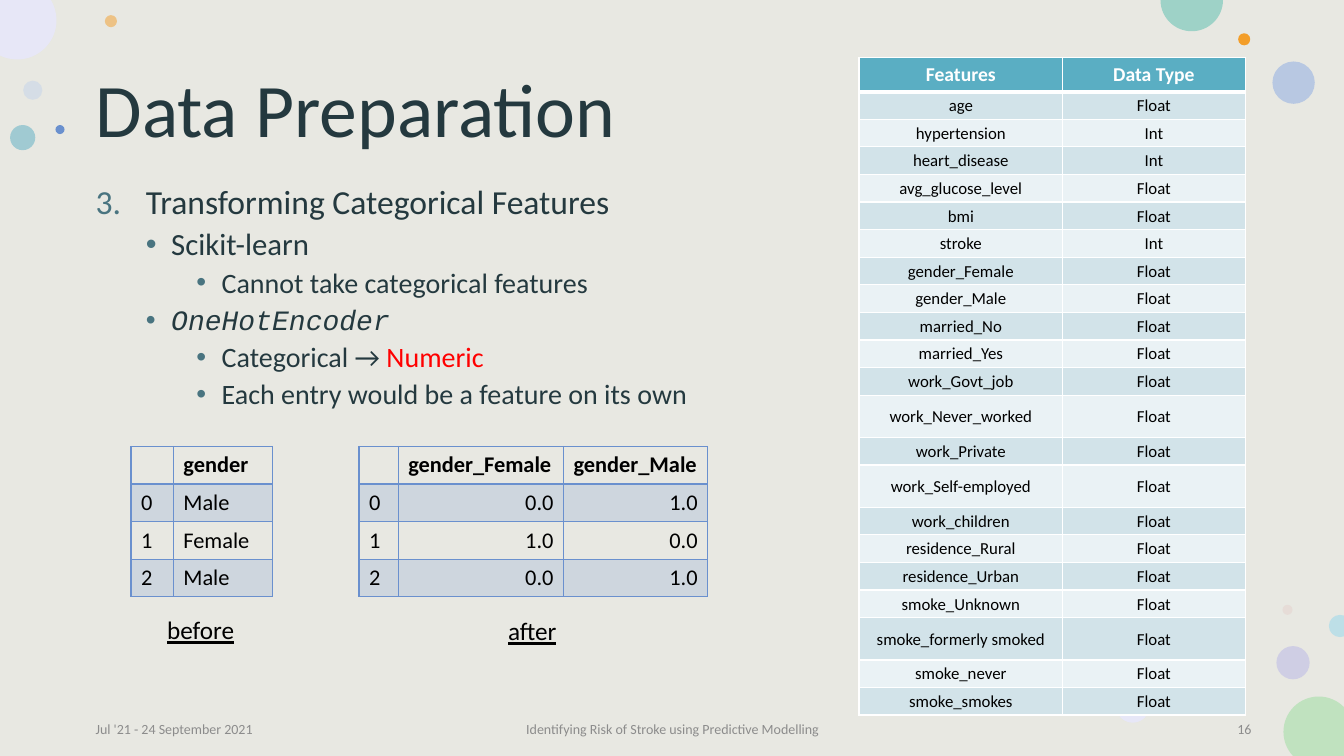
from dataclasses import dataclass
from math import cos, radians, sin, tan

from lxml import etree
from pptx import Presentation
from pptx.dml.color import RGBColor
from pptx.enum.shapes import MSO_SHAPE
from pptx.enum.text import MSO_ANCHOR, PP_ALIGN
from pptx.oxml.ns import qn
from pptx.util import Inches, Pt

OVAL, RECT = MSO_SHAPE.OVAL, MSO_SHAPE.RECTANGLE
MID, TOP = MSO_ANCHOR.MIDDLE, MSO_ANCHOR.TOP
LEFT, MIDDLE, RIGHT = PP_ALIGN.LEFT, PP_ALIGN.CENTER, PP_ALIGN.RIGHT

CREAM = RGBColor(0xE8, 0xE8, 0xE2)
INK = RGBColor(0x24, 0x39, 0x3F)
SLATE = RGBColor(0x49, 0x74, 0x80)
GREY = RGBColor(0x8C, 0x8C, 0x8C)
BLACK = RGBColor(0, 0, 0)
WHITE = RGBColor(0xFF, 0xFF, 0xFF)
RED = RGBColor(0xFF, 0, 0)
BLUE = RGBColor(0x6A, 0x90, 0xCE)
TEAL = RGBColor(0x5A, 0xAE, 0xC3)
MIST = RGBColor(0xD2, 0xE3, 0xE9)
PALE = RGBColor(0xEA, 0xF2, 0xF5)
SKY = RGBColor(0xC3, 0xD3, 0xEB)
AMBER = RGBColor(0xF3, 0x9E, 0x29)
LILAC = RGBColor(0xB8, 0xB6, 0xE7)
STEEL = RGBColor(0xA6, 0xBC, 0xE2)
ROSE = RGBColor(0xE3, 0xBE, 0xBE)
HAZE = RGBColor(0xE7, 0xE7, 0xF7)
LEAF = RGBColor(0xC0, 0xE2, 0xBF)
MINT = RGBColor(0x9E, 0xD2, 0xC7)
AQUA = RGBColor(0xBD, 0xDF, 0xE7)

WIDE, HIGH = 13.33, 7.5


@dataclass
class Dot:
    x: float
    y: float
    size: float
    color: RGBColor
    alpha: int = 100


@dataclass
class Arc:
    x: float
    y: float
    r: float
    turns: list
    corner: list
    color: RGBColor


@dataclass
class Item:
    level: int
    runs: list
    size: int
    font: str = "Calibri"


@dataclass
class Label:
    text: str
    x: float
    y: float
    w: float
    h: float
    size: int
    color: RGBColor
    align: PP_ALIGN = LEFT
    anchor: MSO_ANCHOR = MID
    under: bool = False


@dataclass
class Grid:
    x: float
    y: float
    cols: list
    rows: list
    cells: list
    line: RGBColor
    rule: int
    head: RGBColor
    size: int
    fills: list
    aligns: list
    alpha: int = 100


DOTS = [
    Dot(0.23, 0.8, 0.19, SKY, 50), Dot(1.04, 0.15, 0.12, AMBER, 50),
    Dot(12.66, 6.41, 0.33, LILAC, 50), Dot(0.1, 1.24, 0.25, TEAL, 50),
    Dot(12.62, 0.61, 0.42, STEEL, 72), Dot(12.28, 0.33, 0.12, AMBER),
    Dot(12.72, 6, 0.1, ROSE, 28), Dot(11.07, 6.84, 0.33, HAZE),
    Dot(0.55, 1.24, 0.09, BLUE),
]
ARCS = [
    Arc(13.08, 7.26, 0.35, [137, 180, 270, 316], [(WIDE, HIGH)], LEAF),
    Arc(0.17, 0.2, 0.39, [-31, 0, 90, 116], [(0, 0)], HAZE),
    Arc(11.82, 0, 0.31, [0, 90, 180], [], MINT),
    Arc(13.29, 6.21, 0.11, [70, 90, 180, 270, 290], [], AQUA),
]
LABELS = [
    Label("Data Preparation", 0.85, 0.4, 11.66, 1.45, 54, INK),
    Label("Jul '21 - 24 September 2021", 0.85, 7.1, 3, 0.26, 10, GREY),
    Label("Identifying Risk of Stroke using Predictive Modelling",
          4.42, 7.1, 4.5, 0.26, 10, GREY, MIDDLE),
    Label("16", 9.51, 7.1, 3, 0.26, 10, GREY, RIGHT),
    Label("before", 1.56, 6.05, 0.87, 0.4, 18, BLACK, LEFT, TOP, True),
    Label("after", 4.94, 6.06, 0.69, 0.4, 18, BLACK, LEFT, TOP, True),
]
ITEMS = [
    Item(0, [("Transforming Categorical Features", INK)], 24),
    Item(1, [("Scikit-learn", INK)], 22),
    Item(2, [("Cannot take categorical features", INK)], 20),
    Item(1, [("OneHotEncoder", INK)], 20, "Courier New"),
    Item(2, [("Categorical → ", INK), ("Numeric", RED)], 20),
    Item(2, [("Each entry would be a feature on its own", INK)], 20),
]
NAMES = """age,hypertension,heart_disease,avg_glucose_level,bmi,stroke,gender_Female,
gender_Male,married_No,married_Yes,work_Govt_job,work_Never_worked,work_Private,
work_Self-employed,work_children,residence_Rural,residence_Urban,smoke_Unknown,
smoke_formerly smoked,smoke_never,smoke_smokes""".replace("\n", "").split(",")
INTS = {"hypertension", "heart_disease", "stroke"}
TALL = {"work_Never_worked", "work_Self-employed", "smoke_formerly smoked"}
ROW = (6.53 - 0.34 - 0.42 * len(TALL)) / (len(NAMES) - len(TALL))

BEFORE = Grid(1.3, 4.43, [0.42, 0.98], [1.49 / 4] * 4,
              [["", "gender"], ["0", "Male"], ["1", "Female"], ["2", "Male"]],
              BLUE, 2, None, 16, [BLUE, None], [LEFT, LEFT], 20)
AFTER = Grid(3.56, 4.43, [0.39, 1.64, 1.43], [1.49 / 4] * 4,
             [["", "gender_Female", "gender_Male"], ["0", "0.0", "1.0"],
              ["1", "1.0", "0.0"], ["2", "0.0", "1.0"]],
             BLUE, 2, None, 16, [BLUE, None], [LEFT, RIGHT, RIGHT], 20)
TYPES = Grid(8.52, 0.57, [2.02, 1.81], [0.34] + [0.42 if n in TALL else ROW for n in NAMES],
             [["Features", "Data Type"]] + [[n, "Int" if n in INTS else "Float"] for n in NAMES],
             WHITE, 3, TEAL, 12, [MIST, PALE], [MIDDLE, MIDDLE])


def write(par, text: str, *, size: int, color: RGBColor, font: str = "Calibri",
          bold: bool = False, slant: bool = False, under: bool = False) -> None:
    if not text:
        par._p.get_or_add_endParaRPr().set("sz", str(size * 100))
        return
    run = par.add_run()
    run.text = text
    run.font.size, run.font.name = Pt(size), font
    run.font.bold, run.font.italic, run.font.underline = bold, slant, under
    run.font.color.rgb = color


def paint(fill, node, color: RGBColor, alpha: int = 100) -> None:
    if color is None:
        fill.background()
        return
    fill.solid()
    fill.fore_color.rgb = color
    if alpha < 100:
        tone = node.find(qn("a:solidFill"))[0]
        etree.SubElement(tone, qn("a:alpha")).set("val", str(alpha * 1000))


def finish(shape, color: RGBColor, alpha: int = 100) -> None:
    shape.shadow.inherit = False
    shape.line.fill.background()
    paint(shape.fill, shape._element.spPr, color, alpha)


def add_shape(slide, kind, x: float, y: float, w: float, h: float):
    return slide.shapes.add_shape(kind, Inches(x), Inches(y), Inches(w), Inches(h))


def add_arc(slide, arc: Arc) -> None:
    def spot(turn: float, pull: float = 0) -> tuple:
        c, s = cos(radians(turn)), sin(radians(turn))
        return Inches(arc.x + arc.r * (c - pull * s)), Inches(arc.y + arc.r * (s + pull * c))

    pens = []
    for a, b in zip(arc.turns, arc.turns[1:]):
        pull = 4 / 3 * tan(radians(b - a) / 4)
        pens += [spot(a, pull), spot(b, -pull), spot(b)]
    form = slide.shapes.build_freeform(*spot(arc.turns[0]))
    form.add_line_segments(pens + [(Inches(x), Inches(y)) for x, y in arc.corner], close=True)
    shape = form.convert_to_shape()
    steps = list(shape._element.iter(qn("a:lnTo")))
    for i in range(0, len(pens), 3):
        curve = etree.Element(qn("a:cubicBezTo"))
        steps[i].addprevious(curve)
        for step in steps[i:i + 3]:
            curve.append(step[0])
            step.getparent().remove(step)
    finish(shape, arc.color)


def add_box(slide, x: float, y: float, w: float, h: float):
    frame = slide.shapes.add_textbox(Inches(x), Inches(y), Inches(w), Inches(h)).text_frame
    frame.word_wrap = True
    return frame


def add_label(slide, label: Label) -> None:
    frame = add_box(slide, label.x, label.y, label.w, label.h)
    frame.word_wrap, frame.vertical_anchor = not label.under, label.anchor
    par = frame.paragraphs[0]
    par.alignment, par.line_spacing = label.align, 0.9 if label.size > 50 else 1.0
    write(par, label.text, size=label.size, color=label.color, under=label.under)


def add_list(slide, items: list) -> None:
    frame = add_box(slide, 0.85, 1.79, 6.17, 2.49)
    for i, item in enumerate(items):
        par = frame.paragraphs[0] if i == 0 else frame.add_paragraph()
        par.level, par.line_spacing = item.level, 0.9
        par.space_before = Pt(5 if item.level else 10)
        props = par._p.get_or_add_pPr()
        left, hang = [(0.5, 0.5), (0.75, 0.25), (1.25, 0.25)][item.level]
        props.set("marL", str(Inches(left)))
        props.set("indent", str(-Inches(hang)))
        tint = etree.SubElement(props, qn("a:buClr"))
        etree.SubElement(tint, qn("a:srgbClr")).set("val", str(SLATE))
        if item.level:
            etree.SubElement(props, qn("a:buFont")).set("typeface", "Arial")
            etree.SubElement(props, qn("a:buChar")).set("char", "•")
        else:
            etree.SubElement(props, qn("a:buAutoNum"), type="arabicPeriod", startAt="3")
        for text, color in item.runs:
            write(par, text, size=item.size, color=color, font=item.font,
                  slant=item.font != "Calibri")


def edge(cell, color: RGBColor, top: int, base: int) -> None:
    for i, (side, width) in enumerate([("L", 1), ("R", 1), ("T", top), ("B", base)]):
        line = etree.Element(qn("a:ln" + side), w=str(Pt(width)))
        solid = etree.SubElement(line, qn("a:solidFill"))
        etree.SubElement(solid, qn("a:srgbClr")).set("val", str(color))
        cell._tc.get_or_add_tcPr().insert(i, line)


def add_grid(slide, grid: Grid) -> None:
    table = slide.shapes.add_table(len(grid.rows), len(grid.cols), Inches(grid.x), Inches(grid.y),
                                   Inches(sum(grid.cols)), Inches(sum(grid.rows))).table
    table.first_row = table.horz_banding = False
    for col, width in zip(table.columns, grid.cols):
        col.width = Inches(width)
    for r, (row, height) in enumerate(zip(table.rows, grid.rows)):
        row.height = Inches(height)
        for c, cell in enumerate(row.cells):
            head = r == 0
            par = cell.text_frame.paragraphs[0]
            par.alignment = LEFT if head and not grid.head else grid.aligns[c]
            write(par, grid.cells[r][c], bold=head, color=WHITE if head and grid.head else BLACK,
                  size=14 if head and grid.head else grid.size)
            if grid.head and not head:
                cell.vertical_anchor = MID
                cell.margin_left = cell.margin_right = cell.margin_top = Inches(0.01)
                cell.margin_bottom = 0
            tone = grid.head if head else grid.fills[(r - 1) % 2]
            paint(cell.fill, cell._tc.get_or_add_tcPr(), tone, grid.alpha)
            edge(cell, grid.line, grid.rule if r == 1 else 1, grid.rule if head else 1)


def main() -> None:
    deck = Presentation()
    deck.slide_width, deck.slide_height = Inches(WIDE), Inches(HIGH)
    slide = deck.slides.add_slide(deck.slide_layouts[6])
    finish(add_shape(slide, RECT, 0, 0, WIDE, HIGH), CREAM)
    for dot in DOTS:
        finish(add_shape(slide, OVAL, dot.x, dot.y, dot.size, dot.size), dot.color, dot.alpha)
    for arc in ARCS:
        add_arc(slide, arc)
    for label in LABELS:
        add_label(slide, label)
    add_list(slide, ITEMS)
    for grid in (BEFORE, AFTER, TYPES):
        add_grid(slide, grid)
    deck.save("out.pptx")


if __name__ == "__main__":
    main()
